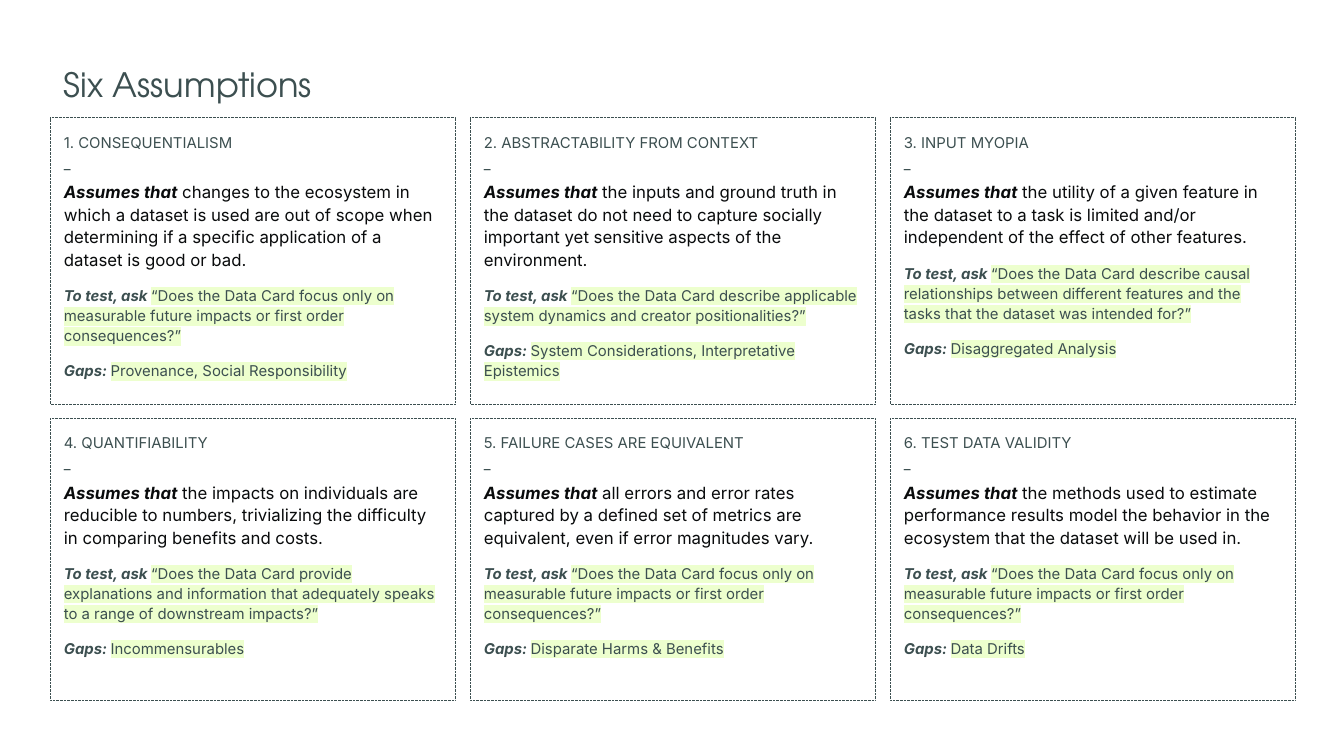
from dataclasses import dataclass

from lxml.etree import SubElement
from pptx import Presentation
from pptx.dml.color import RGBColor
from pptx.enum.dml import MSO_LINE
from pptx.enum.shapes import MSO_SHAPE as Shape
from pptx.enum.text import MSO_ANCHOR as Anchor, PP_ALIGN as Align
from pptx.oxml.ns import qn
from pptx.util import Inches, Pt

# Content: heading, assumption, test question, gaps
TITLE = "Six Assumptions"
FIRST_ORDER = ("“Does the Data Card focus only on measurable future impacts "
               "or first order consequences?”")
ASSUMPTIONS = [
    ("1. CONSEQUENTIALISM",
     "changes to the ecosystem in which a dataset is used are out of scope when "
     "determining if a specific application of a dataset is good or bad.",
     FIRST_ORDER,
     "Provenance, Social Responsibility"),
    ("2. ABSTRACTABILITY FROM CONTEXT",
     "the inputs and ground truth in the dataset do not need to capture socially "
     "important yet sensitive aspects of the environment.",
     "“Does the Data Card describe applicable system dynamics and creator "
     "positionalities?”",
     "System Considerations, Interpretative Epistemics"),
    ("3. INPUT MYOPIA",
     "the utility of a given feature in the dataset to a task is limited and/or "
     "independent of the effect of other features.",
     "“Does the Data Card describe causal relationships between different features "
     "and the tasks that the dataset was intended for?”",
     "Disaggregated Analysis"),
    ("4. QUANTIFIABILITY",
     "the impacts on individuals are reducible to numbers, trivializing the "
     "difficulty in comparing benefits and costs.",
     "“Does the Data Card provide explanations and information that adequately "
     "speaks to a range of downstream impacts?”",
     "Incommensurables"),
    ("5. FAILURE CASES ARE EQUIVALENT",
     "all errors and error rates captured by a defined set of metrics are "
     "equivalent, even if error magnitudes vary.",
     FIRST_ORDER,
     "Disparate Harms & Benefits"),
    ("6. TEST DATA VALIDITY",
     "the methods used to estimate performance results model the behavior in the "
     "ecosystem that the dataset will be used in.",
     FIRST_ORDER,
     "Data Drifts"),
]


@dataclass(frozen=True)
class Theme:
    slate: str = "3C4F50"
    ink: str = "090B0C"
    paper: str = "FFFFFF"
    marker: str = "EDFFCE"
    title_font: str = "TeX Gyre Adventor"
    body_font: str = "Inter"
    title_size: int = 36
    claim_size: int = 18
    body_size: int = 16
    border: float = 0.75


THEME = Theme()

# Grid, in inches
WIDTH, HEIGHT = 20, 11
COLUMNS = 3
MARGIN, CARD_WIDTH, COLUMN_GAP = 0.75, 6.02, 0.23
GRID_WIDTH = COLUMNS * CARD_WIDTH + (COLUMNS - 1) * COLUMN_GAP
TITLE_HEIGHT = 1
ROWS = [(1.75, 4.27), (6.22, 4.2)]  # top and height
INSET = 0.2


def prepare_frame(frame, anchor):
    frame.word_wrap = True
    frame.vertical_anchor = anchor
    frame.margin_left = frame.margin_right = Inches(INSET)
    frame.margin_top = frame.margin_bottom = Inches(INSET)


def add_run(paragraph, text, size, color=THEME.slate, font=THEME.body_font,
            strong=False, marked=False):
    run = paragraph.add_run()
    run.text = text
    run.font.size = Pt(size)
    run.font.bold = run.font.italic = strong
    run.font.color.rgb = RGBColor.from_string(color)
    if marked:
        highlight = SubElement(run.font._element, qn("a:highlight"))
        SubElement(highlight, qn("a:srgbClr")).set("val", THEME.marker)
    run.font.name = font


def add_line(frame, spacing, before=0, after=0):
    first = frame.paragraphs[0]
    paragraph = frame.add_paragraph() if first.runs else first
    paragraph.alignment = Align.LEFT
    paragraph.line_spacing = spacing
    paragraph.space_before, paragraph.space_after = Pt(before), Pt(after)
    return paragraph


def add_card(slide, left, top, height, heading, claim, question, gaps):
    card = slide.shapes.add_shape(Shape.ROUNDED_RECTANGLE, Inches(left), Inches(top),
                                  Inches(CARD_WIDTH), Inches(height))
    card.adjustments[0] = 0
    card.shadow.inherit = False
    card.fill.solid()
    card.fill.fore_color.rgb = RGBColor.from_string(THEME.paper)
    card.line.color.rgb = RGBColor.from_string(THEME.slate)
    card.line.width = Pt(THEME.border)
    card.line.dash_style = MSO_LINE.ROUND_DOT

    frame = card.text_frame
    prepare_frame(frame, Anchor.TOP)
    for text in (heading, "_"):
        add_run(add_line(frame, 1.15), text, THEME.body_size)

    assumes = add_line(frame, 1.12, before=8)
    add_run(assumes, "Assumes that", THEME.claim_size, THEME.ink, strong=True)
    add_run(assumes, " " + claim, THEME.claim_size, THEME.ink)

    for label, answer, after in (("To test, ask ", question, 0), ("Gaps: ", gaps, 16)):
        line = add_line(frame, 1.12, before=16, after=after)
        add_run(line, label, THEME.body_size, strong=True)
        add_run(line, answer, THEME.body_size, marked=True)


def main():
    deck = Presentation()
    deck.slide_width, deck.slide_height = Inches(WIDTH), Inches(HEIGHT)
    slide = deck.slides.add_slide(deck.slide_layouts[6])

    # Title
    title = slide.shapes.add_textbox(Inches(MARGIN), Inches(ROWS[0][0] - TITLE_HEIGHT),
                                     Inches(GRID_WIDTH), Inches(TITLE_HEIGHT))
    prepare_frame(title.text_frame, Anchor.MIDDLE)
    add_run(add_line(title.text_frame, 1), TITLE, THEME.title_size,
            font=THEME.title_font)

    # Cards
    for index, assumption in enumerate(ASSUMPTIONS):
        row, column = divmod(index, COLUMNS)
        left = MARGIN + column * (CARD_WIDTH + COLUMN_GAP)
        add_card(slide, left, *ROWS[row], *assumption)

    deck.save("out.pptx")


if __name__ == "__main__":
    main()
